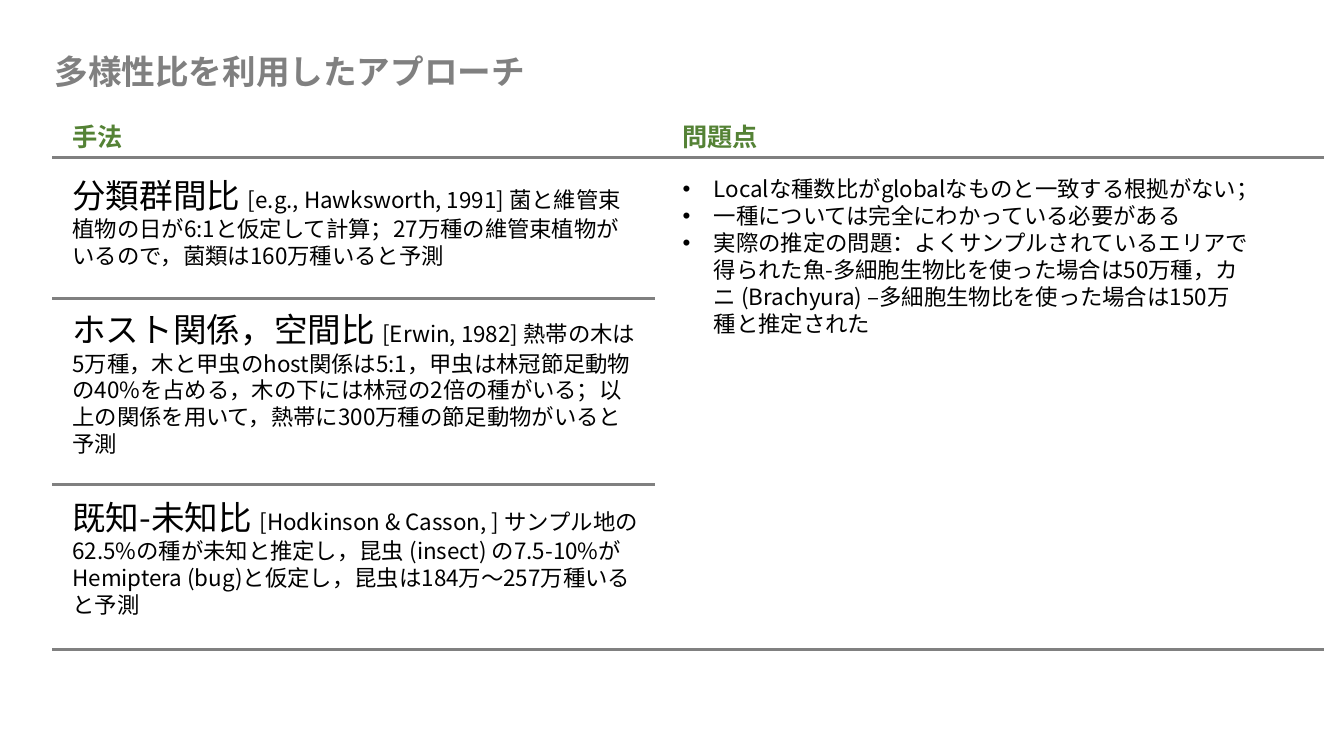
"""Build a slide on diversity-ratio approaches: methods on the left, problems on the right."""
from lxml import etree
from pptx import Presentation
from pptx import util as u
from pptx.dml.color import RGBColor
from pptx.enum import shapes, text
from pptx.oxml.ns import qn

PX = 9144
THEME = {
    "font": "Noto Sans CJK JP",
    "grey": RGBColor.from_string("808080"),
    "green": RGBColor.from_string("548235"),
    "black": RGBColor.from_string("000000"),
    "title": u.Pt(24),
    "heading": u.Pt(18),
    "body": u.Pt(16),
    "rule": u.Pt(2.25),
}


def place(box, left, top, width, height, wrap=True):
    box.left, box.top, box.width, box.height = (n * PX for n in (left, top, width, height))
    box.text_frame.word_wrap = wrap
    box.text_frame.auto_size = text.MSO_AUTO_SIZE.NONE
    return box.text_frame


def style(para, size, color, bold=False):
    para.alignment = text.PP_ALIGN.LEFT
    para.space_before = u.Pt(0)
    para.font.name = THEME["font"]
    para.font.size = THEME[size]
    para.font.bold = bold
    para.font.color.rgb = THEME[color]
    defaults = para._p.get_or_add_pPr().find(qn("a:defRPr"))
    etree.SubElement(defaults, qn("a:ea")).set("typeface", THEME["font"])


deck = Presentation()
deck.slide_width, deck.slide_height = 1333 * PX, 750 * PX
page = deck.slides.add_slide(deck.slide_layouts[1])

title = place(page.shapes.title, 44, 45, 1258, 50)
title.text = "多様性比を利用したアプローチ"
title.vertical_anchor = text.MSO_ANCHOR.MIDDLE
style(title.paragraphs[0], "title", "grey", bold=True)

for heading, left, width in [("手法", 62, 72), ("問題点", 667, 98)]:
    frame = place(page.shapes.add_textbox(0, 0, 0, 0), left, 115, width, 40, wrap=False)
    frame.text = heading
    style(frame.paragraphs[0], "heading", "green", bold=True)

methods = [
    (169, 104, "分類群間比 ",
     "[e.g., Hawksworth, 1991] 菌と維管束植物の日が6:1と仮定して計算；"
     "27万種の維管束植物がいるので，菌類は160万種いると予測"),
    (302, 158, "ホスト関係，空間比 ",
     "[Erwin, 1982] 熱帯の木は5万種，木と甲虫のhost関係は5:1，"
     "甲虫は林冠節足動物の40%を占める，木の下には林冠の2倍の種がいる；"
     "以上の関係を用いて，熱帯に300万種の節足動物がいると予測"),
    (488, 131, "既知-未知比 ",
     "[Hodkinson & Casson, ] サンプル地の62.5%の種が未知と推定し，"
     "昆虫 (insect) の7.5-10%がHemiptera (bug)と仮定し，昆虫は184万〜257万種いると予測"),
]
for top, height, name, detail in methods:
    frame = place(page.shapes.add_textbox(0, 0, 0, 0), 62, top, 583, height)
    para = frame.paragraphs[0]
    style(para, "body", "black")
    for words, size in [(name, "title"), (detail, "body")]:
        span = para.add_run()
        span.text = words
        span.font.size = THEME[size]

problems = [
    "Localな種数比がglobalなものと一致する根拠がない；",
    "一種については完全にわかっている必要がある",
    "実際の推定の問題：よくサンプルされているエリアで得られた魚-多細胞生物比を使った場合は50万種，"
    "カニ (Brachyura) –多細胞生物比を使った場合は150万種と推定された",
]
frame = place(page.placeholders[1], 667, 169, 583, 226)
frame.text = "\n".join(problems)
for para in frame.paragraphs:
    style(para, "body", "black")
    layout = para._p.get_or_add_pPr()
    layout.set("marL", str(31 * PX))
    layout.set("indent", str(-31 * PX))

for right, y in [(1313, 156), (650, 296), (650, 481), (1313, 644)]:
    rule = page.shapes.add_connector(
        shapes.MSO_CONNECTOR.STRAIGHT, 52 * PX, y * PX, right * PX, y * PX)
    rule.line.color.rgb = THEME["grey"]
    rule.line.width = THEME["rule"]
    etree.SubElement(rule._element.spPr, qn("a:effectLst"))

deck.save("out.pptx")
